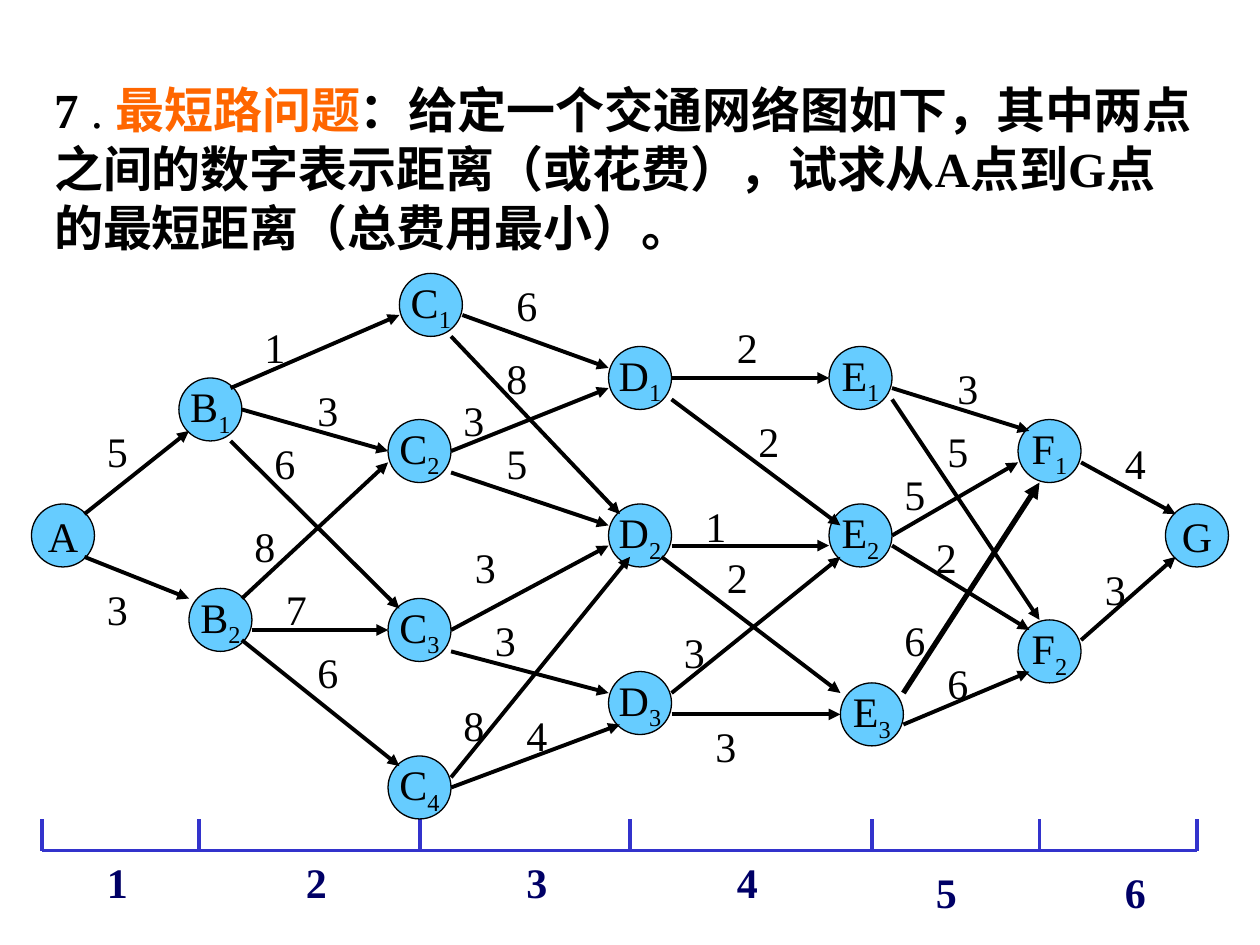
from lxml.etree import SubElement
from pptx import Presentation
from pptx.dml.color import RGBColor
from pptx.enum.shapes import MSO_CONNECTOR as Connector, MSO_SHAPE as Shape
from pptx.enum.text import MSO_ANCHOR as Anchor, MSO_AUTO_SIZE as AutoSize, PP_ALIGN as Align
from pptx.oxml.ns import qn
from pptx.util import Inches, Pt

COLORS = {"ink": "000000", "accent": "FF6600", "node": "66CCFF", "axis": "3333CC", "stage": "000066"}
LATIN = "Times New Roman"
CHINESE = "Noto Sans CJK SC"

PROBLEM = [
    ("7", {"bold": True}),
    (" . ", {}),
    ("最短路问题", {"font": CHINESE, "bold": True, "color": "accent"}),
    ("：给定一个交通网络图如下，其中两点之间的数字表示距离（或花费），试求从", {"font": CHINESE, "bold": True}),
    ("A", {"bold": True}),
    ("点到", {"font": CHINESE, "bold": True}),
    ("G", {"bold": True}),
    ("点的最短距离（总费用最小）。", {"font": CHINESE, "bold": True}),
]

NODE_SIZE = 0.5
NODES = {
    "A": (0.25, 4), "B1": (1.42, 3), "B2": (1.5, 4.67),
    "C1": (3.17, 2.17), "C2": (3.08, 3.33), "C3": (3.08, 4.75), "C4": (3.08, 6),
    "D1": (4.83, 2.75), "D2": (4.83, 4), "D3": (4.83, 5.33),
    "E1": (6.58, 2.75), "E2": (6.58, 4), "E3": (6.67, 5.42),
    "F1": (8.08, 3.33), "F2": (8.08, 4.92), "G": (9.25, 4),
}

# start, end, distance, position of the distance
ROADS = [
    ((0.67, 4.08), (1.5, 3.42), 5, (0.75, 3.33)),
    ((0.67, 4.42), (1.5, 4.75), 3, (0.75, 4.58)),
    ((1.83, 3.08), (3.17, 2.5), 1, (2, 2.5)),
    ((1.92, 3.25), (3.08, 3.58), 3, (2.42, 3)),
    ((1.83, 3.5), (3.17, 4.83), 6, (2.08, 3.42)),
    ((1.92, 4.75), (3.08, 3.67), 8, (1.92, 4.08)),
    ((2, 5), (3.08, 5), 7, (2.17, 4.58)),
    ((1.92, 5.08), (3.17, 6.08), 6, (2.42, 5.08)),
    ((3.67, 2.5), (4.83, 2.92), 6, (4, 2.17)),
    ((3.58, 2.67), (4.92, 4.08), 8, (3.92, 2.75)),
    ((3.58, 3.58), (4.83, 3.08), 3, (3.58, 3.08)),
    ((3.58, 3.75), (4.83, 4.17), 5, (3.92, 3.42)),
    ((3.58, 5), (4.83, 4.33), 3, (3.67, 4.25)),
    ((3.58, 5.17), (4.83, 5.5), 3, (3.83, 4.83)),
    ((3.58, 6.25), (4.92, 5.75), 4, (4.08, 5.58)),
    ((3.58, 6.17), (5, 4.42), 8, (3.58, 5.5)),
    ((5.33, 3), (6.58, 3), 2, (5.75, 2.5)),
    ((5.33, 3.17), (6.67, 4.17), 2, (5.92, 3.25)),
    ((5.33, 4.33), (6.58, 4.33), 1, (5.5, 3.92)),
    ((5.25, 4.42), (6.67, 5.5), 2, (5.67, 4.33)),
    ((5.33, 5.5), (6.67, 4.42), 3, (5.33, 4.92)),
    ((5.33, 5.67), (6.67, 5.67), 3, (5.58, 5.67)),
    ((7.08, 3.08), (8.17, 3.42), 3, (7.5, 2.83)),
    ((7.08, 4.25), (8.08, 3.67), 5, (7.08, 3.67)),
    ((7.08, 3.17), (8.25, 4.92), 5, (7.42, 3.33)),
    ((7.08, 4.33), (8.17, 5), 2, (7.33, 4.17)),
    ((7.17, 5.5), (8.25, 3.83), 6, (7.08, 4.83)),
    ((7.17, 5.75), (8.17, 5.33), 6, (7.42, 5.17)),
    ((8.58, 3.67), (9.33, 4.08), 4, (8.83, 3.42)),
    ((8.58, 5.08), (9.33, 4.42), 3, (8.67, 4.42)),
]
BOLD_ROAD = ((7.17, 5.5), (8.25, 3.83))

AXIS_TOP, AXIS_Y = 6.5, 6.75
TICKS = [0.33, 1.58, 3.33, 5, 6.92, 8.25, 9.5]
STAGES = [(0.75, 6.75, 0.58), (2.33, 6.75, 0.5), (4.08, 6.75, 0.42),
          (5.75, 6.75, 0.83), (7.33, 6.83, 0.58), (8.83, 6.83, 0.58)]


def add_text(paragraph, text, font=LATIN, size=24, color="ink", bold=False, baseline=None):
    run = paragraph.add_run()
    run.text = text
    run.font.size = Pt(size)
    run.font.bold = bold
    run.font.color.rgb = RGBColor.from_string(COLORS[color])
    run.font.name = font
    properties = run.font._element
    SubElement(properties, qn("a:ea")).set("typeface", font)
    if baseline:
        properties.set("baseline", str(baseline * 1000))


def add_label(text, left, top, width, wrap=False, **style):
    label = slide.shapes.add_textbox(Inches(left), Inches(top), Inches(width), Inches(0.5))
    label.text_frame.word_wrap = wrap
    label.text_frame.auto_size = AutoSize.SHAPE_TO_FIT_TEXT
    add_text(label.text_frame.paragraphs[0], text, **style)


def add_line(start, end, color="ink", width=2.25, arrow=False):
    line = slide.shapes.add_connector(Connector.STRAIGHT, *map(Inches, start + end))
    line.line.color.rgb = RGBColor.from_string(COLORS[color])
    line.line.width = Pt(width)
    if arrow:
        SubElement(line.line._get_or_add_ln(), qn("a:tailEnd")).set("type", "triangle")
    SubElement(line._element.spPr, qn("a:effectLst"))


def add_node(name, left, top):
    node = slide.shapes.add_shape(Shape.OVAL, *map(Inches, (left, top, NODE_SIZE, NODE_SIZE)))
    node.shadow.inherit = False
    node.fill.solid()
    node.fill.fore_color.rgb = RGBColor.from_string(COLORS["node"])
    node.line.color.rgb = RGBColor.from_string(COLORS["ink"])
    node.line.width = Pt(0.75)
    node.text_frame.word_wrap = False
    node.text_frame.vertical_anchor = Anchor.MIDDLE
    paragraph = node.text_frame.paragraphs[0]
    paragraph.alignment = Align.CENTER
    add_text(paragraph, name[0])
    if name[1:]:
        add_text(paragraph, name[1:], baseline=-25)


deck = Presentation()
deck.slide_width, deck.slide_height = Inches(10), Inches(7.5)
slide = deck.slides.add_slide(deck.slide_layouts[5])

problem = slide.shapes.title
problem.left, problem.top, problem.width, problem.height = map(Inches, (0.33, 0.58, 9.25, 1.5))
problem.text_frame.word_wrap = True
problem.text_frame.auto_size = AutoSize.NONE
problem.text_frame.vertical_anchor = Anchor.TOP
problem.text_frame.paragraphs[0].alignment = Align.LEFT
for text, style in PROBLEM:
    add_text(problem.text_frame.paragraphs[0], text, size=28, **style)

add_line((TICKS[0], AXIS_Y), (TICKS[-1], AXIS_Y), color="axis")
for tick in TICKS:
    add_line((tick, AXIS_TOP), (tick, AXIS_Y), color="axis")
for number, (left, top, width) in enumerate(STAGES, 1):
    add_label(str(number), left, top, width, wrap=True, color="stage", bold=True)

for name, (left, top) in NODES.items():
    add_node(name, left, top)
for start, end, distance, (left, top) in ROADS:
    add_line(start, end, width=3 if (start, end) == BOLD_ROAD else 2.25, arrow=True)
for start, end, distance, (left, top) in ROADS:
    add_label(str(distance), left, top, 0.37)

deck.save("out.pptx")
